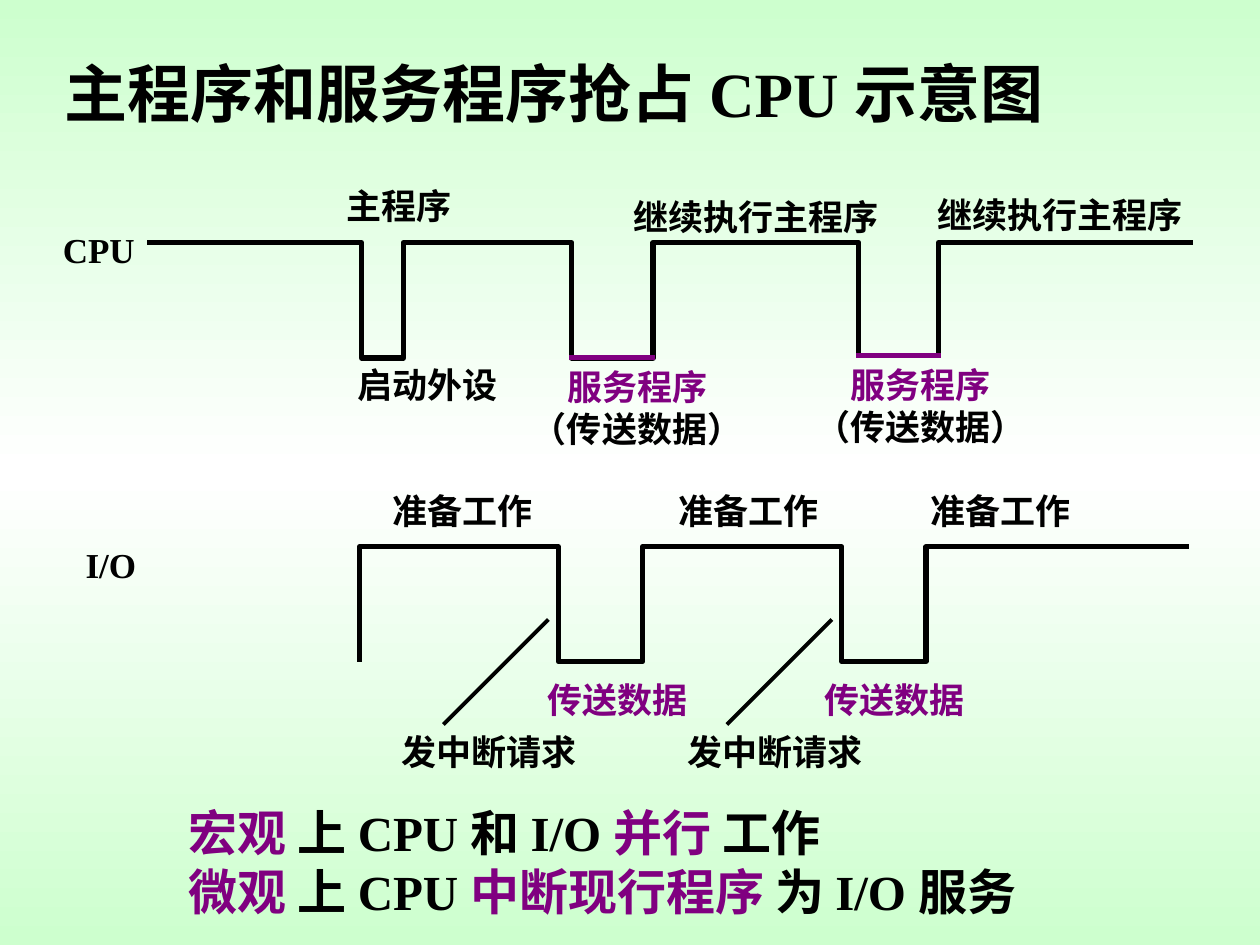
from pptx import Presentation
from pptx.dml.color import RGBColor
from pptx.enum.shapes import MSO_CONNECTOR
from pptx.enum.text import MSO_AUTO_SIZE, PP_ALIGN
from pptx.oxml.ns import qn
from pptx.util import Pt
from lxml import etree
from copy import deepcopy

STRAIGHT = MSO_CONNECTOR.STRAIGHT
GROW = MSO_AUTO_SIZE.SHAPE_TO_FIT_TEXT
LEFT, CENTER = PP_ALIGN.LEFT, PP_ALIGN.CENTER
BLACK, PURPLE, GREEN, WHITE = "000000", "800080", "CDFFCE", "FFFFFF"


def color(value):
    return RGBColor.from_string(value)


class TimingSlide:
    """Draws styled elements on one slide, with lengths in points."""

    font = "Times New Roman"

    def __init__(self, slide):
        self.slide = slide

    def background(self, colors):
        fill = self.slide.background.fill
        fill.gradient()
        fill.gradient_angle = 270
        stops = self.slide.element.find(".//" + qn("a:gsLst"))
        while len(stops) < len(colors):
            stops.append(deepcopy(stops[0]))
        for index, (stop, value) in enumerate(zip(fill.gradient_stops, colors)):
            stop.position = index / (len(colors) - 1)
            stop.color.rgb = color(value)

    def text(self, left, top, width, height, paragraphs, size=20, wrap=False, align=LEFT):
        box = self.slide.shapes.add_textbox(Pt(left), Pt(top), Pt(width), Pt(height))
        frame = box.text_frame
        frame.word_wrap = wrap
        frame.auto_size = GROW
        for index, runs in enumerate(paragraphs):
            paragraph = frame.add_paragraph() if index else frame.paragraphs[0]
            paragraph.alignment = align
            for words, value in runs:
                run = paragraph.add_run()
                run.text = words
                run.font.name = self.font
                run.font.size = Pt(size)
                run.font.bold = True
                run.font.color.rgb = color(value)

    def label(self, left, top, width, words, value=BLACK):
        self.text(left, top, width, 31.5, [[(words, value)]])

    def line(self, start, end, value=BLACK, weight=2.25):
        connector = self.slide.shapes.add_connector(STRAIGHT, *map(Pt, start + end))
        connector.line.color.rgb = color(value)
        connector.line.width = Pt(weight)
        properties = connector.element.find(qn("p:spPr"))
        etree.SubElement(properties, qn("a:effectLst"))

    def wave(self, edges, levels):
        corners = [(Pt(x), Pt(level)) for span, level in zip(zip(edges, edges[1:]), levels)
                   for x in span]
        corners = list(dict.fromkeys(corners))
        builder = self.slide.shapes.build_freeform(*corners[0])
        builder.add_line_segments(corners[1:], close=False)
        signal = builder.convert_to_shape()
        signal.shadow.inherit = False
        signal.fill.background()
        signal.line.color.rgb = color(BLACK)
        signal.line.width = Pt(3)


def main():
    deck = Presentation()
    deck.slide_width, deck.slide_height = Pt(720), Pt(540)
    page = TimingSlide(deck.slides.add_slide(deck.slide_layouts[6]))
    page.background([GREEN, WHITE, GREEN])
    page.text(30, 27.5, 585.4, 93.6, [[("主程序和服务程序抢占 CPU 示意图", BLACK)]], 36, True)

    io_high, io_low = 312.5, 378
    page.wave([205.4, 205.4, 319, 367.2, 481, 529.2, 679.2],
              [io_low, io_high] * 3)
    for left, top in ((217.4, 276.2), (380.5, 276.4), (524.4, 276.4)):
        page.label(left, top, 95, "准备工作")
    for left in (305.8, 464):
        page.label(left, 384.3, 95, "传送数据", PURPLE)
    for request_left, pointer_left in ((222.5, 253.4), (385.5, 415.4)):
        page.label(request_left, 414, 115, "发中断请求")
        page.line((pointer_left, 414), (pointer_left + 60, 354))
    page.label(41.8, 307.2, 44, "I/O")

    cpu_high, first_low, second_low = 138.6, 204.5, 203
    page.wave([84.2, 206.6, 230.6, 326.7, 373.2, 490.7, 536.4, 681.8],
              [cpu_high, first_low, cpu_high, first_low, cpu_high, second_low, cpu_high])
    for left, top, width, words in (
        (190.8, 102, 76, "主程序"),
        (355, 108, 156, "继续执行主程序"),
        (528.5, 107.3, 156, "继续执行主程序"),
        (197.3, 204, 95, "启动外设"),
        (28.8, 127, 56, "CPU"),
    ):
        page.label(left, top, width, words)
    for start, end, low, left in ((326.7, 373.2, first_low, 296.6),
                                  (490.7, 536.4, second_low, 458.6)):
        page.text(left, low + 1, 135, 55.4,
                  [[("服务程序", PURPLE)], [("（传送数据）", BLACK)]], align=CENTER)
        page.line((start - 1.3, low), (end + 1.3, low), PURPLE, 3)

    page.text(100.8, 455.3, 577.4, 74.9, [
        [("宏观 ", PURPLE), ("上 CPU 和 I/O ", BLACK), ("并行 ", PURPLE), ("工作", BLACK)],
        [("微观 ", PURPLE), ("上 CPU ", BLACK), ("中断现行程序 ", PURPLE), ("为 I/O 服务", BLACK)],
    ], 28, True)
    deck.save("out.pptx")


if __name__ == "__main__":
    main()
